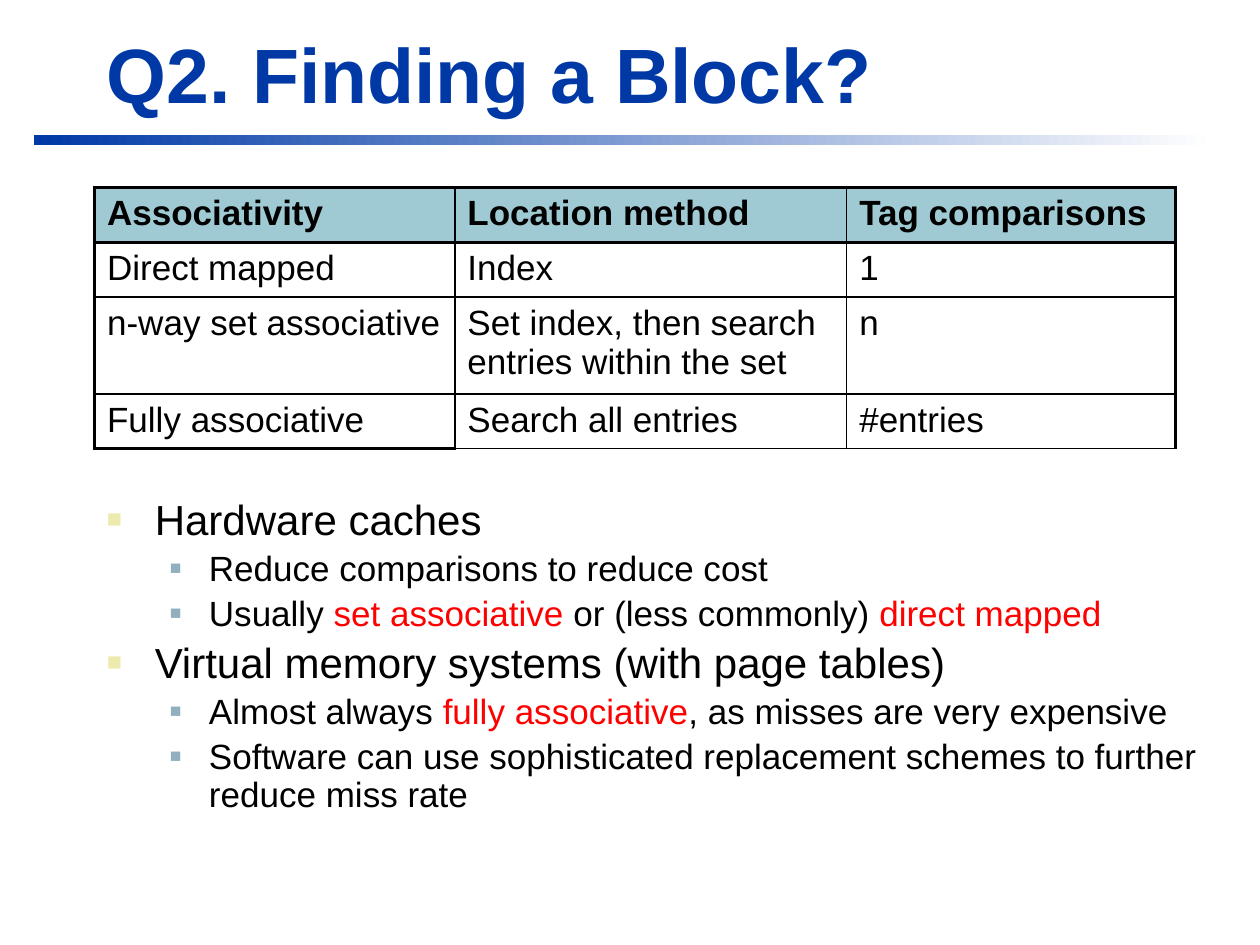
from dataclasses import dataclass

from pptx import Presentation
from pptx.dml.color import RGBColor
from pptx.enum.shapes import MSO_SHAPE
from pptx.enum.text import MSO_ANCHOR
from pptx.oxml import parse_xml
from pptx.oxml.ns import nsdecls
from pptx.util import Inches, Pt


@dataclass(frozen=True)
class Theme:
    font: str = "Arial"
    title: str = "0039A6"
    text: str = "000000"
    accent: str = "FF0000"
    paper: str = "FFFFFF"
    header: str = "9FCAD3"
    title_size: int = 44
    cell_size: int = 20
    level_sizes: tuple = (24, 20)
    # Per level: colour, size in percent, left indent, hanging indent
    bullets: tuple = (("ECEAAC", 60, 0.38, 0.38), ("91AFBF", 55, 0.81, 0.31))
    outer: float = 2.25
    under_header: float = 1.5
    inner: float = 1


def add_xml(parent, xml):
    tag, rest = xml[1:].split(" ", 1)
    parent.append(parse_xml(f"<{tag} {nsdecls('a')} {rest}"))


class SlideBuilder:
    def __init__(self, s, theme):
        self.s, self.t = s, theme

    def run(self, p, text, size, color=None, bold=False):
        r = p.add_run()
        r.text = text
        r.font.name, r.font.size, r.font.bold = self.t.font, Pt(size), bold
        r.font.color.rgb = RGBColor.from_string(color or self.t.text)

    def space_before(self, p):
        add_xml(p._p.get_or_add_pPr(),
                '<a:spcBef ><a:spcPct val="20000"/></a:spcBef>')

    def text_frame(self, x, y, w, h, anchor=MSO_ANCHOR.TOP):
        tf = self.s.shapes.add_textbox(
            Inches(x), Inches(y), Inches(w), Inches(h)).text_frame
        tf.word_wrap, tf.vertical_anchor = True, anchor
        return tf

    def title(self, text, *box):
        tf = self.text_frame(*box, anchor=MSO_ANCHOR.BOTTOM)
        self.run(tf.paragraphs[0], text, self.t.title_size, self.t.title, True)

    def gradient_bar(self, x, y, w, h):
        sp = self.s.shapes.add_shape(
            MSO_SHAPE.RECTANGLE, Inches(x), Inches(y), Inches(w), Inches(h))
        sp.shadow.inherit = False
        sp.line.fill.background()
        sp.fill.gradient()
        sp.fill.gradient_angle = 0
        for stop, color in zip(sp.fill.gradient_stops,
                               (self.t.title, self.t.paper)):
            stop.color.rgb = RGBColor.from_string(color)

    def bullet_list(self, items, *box):
        tf = self.text_frame(*box)
        for i, (level, parts) in enumerate(items):
            p = tf.add_paragraph() if i else tf.paragraphs[0]
            p.level, p.line_spacing = level, 0.9
            self.space_before(p)
            color, percent, left, hanging = self.t.bullets[level]
            pPr = p._p.get_or_add_pPr()
            pPr.set("marL", str(Inches(left)))
            pPr.set("indent", str(-Inches(hanging)))
            add_xml(pPr, f'<a:buClr ><a:srgbClr val="{color}"/></a:buClr>')
            add_xml(pPr, f'<a:buSzPct val="{percent * 1000}"/>')
            add_xml(pPr, f'<a:buFont typeface="{self.t.font}"/>')
            add_xml(pPr, '<a:buChar char="■"/>')
            for text, run_color in parts:
                self.run(p, text, self.t.level_sizes[level], run_color)

    def borders(self, cell, **weights):
        tcPr = cell._tc.get_or_add_tcPr()
        for side in "LRTB":
            add_xml(tcPr, f'<a:ln{side} w="{Pt(weights[side])}"><a:solidFill>'
                          f'<a:srgbClr val="{self.t.text}"/></a:solidFill></a:ln{side}>')

    def table(self, rows, widths, heights, x, y):
        t = self.t
        table = self.s.shapes.add_table(
            len(rows), len(widths), Inches(x), Inches(y),
            Inches(sum(widths)), Inches(sum(heights))).table
        table.first_row = table.horz_banding = False
        for column, width in zip(table.columns, widths):
            column.width = Inches(width)
        last_row, last_col = len(rows) - 1, len(widths) - 1
        for i, texts in enumerate(rows):
            table.rows[i].height = Inches(heights[i])
            for j, text in enumerate(texts):
                cell = table.cell(i, j)
                p = cell.text_frame.paragraphs[0]
                self.space_before(p)
                self.run(p, text, t.cell_size, bold=i == 0)
                # Only the first cell of the last row has a heavy bottom
                heavy_bottom = i == last_row and j == 0
                self.borders(
                    cell,
                    L=t.inner if j else t.outer,
                    R=t.outer if j == last_col else t.inner,
                    T={0: t.outer, 1: t.under_header}.get(i, t.inner),
                    B=t.under_header if i == 0
                    else t.outer if heavy_bottom else t.inner)
                if i == 0:
                    cell.fill.solid()
                    cell.fill.fore_color.rgb = RGBColor.from_string(t.header)
                else:
                    cell.fill.background()


def main():
    prs = Presentation()
    prs.slide_width, prs.slide_height = Inches(10), Inches(7.5)
    theme = Theme()
    b = SlideBuilder(prs.slides.add_slide(prs.slide_layouts[6]), theme)
    red = theme.accent

    # Heading
    b.gradient_bar(0.27, 1.07, 9.37, 0.08)
    b.title("Q2. Finding a Block?", 0.75, 0.16, 9.03, 0.83)

    # Bullets
    b.bullet_list([
        (0, [("Hardware caches", None)]),
        (1, [("Reduce comparisons to reduce cost", None)]),
        (1, [("Usually ", None), ("set associative ", red),
             ("or (less commonly) ", None), ("direct mapped", red)]),
        (0, [("Virtual memory systems (with page tables)", None)]),
        (1, [("Almost always ", None), ("fully associative", red),
             (", as misses are very expensive", None)]),
        (1, [("Software can use sophisticated replacement schemes "
              "to further reduce miss rate", None)]),
    ], 0.75, 3.91, 9.05, 2.91)

    # Associativity table
    b.table([
        ("Associativity", "Location method", "Tag comparisons"),
        ("Direct mapped", "Index", "1"),
        ("n-way set associative",
         "Set index, then search entries within the set", "n"),
        ("Fully associative", "Search all entries", "#entries"),
    ], (2.86, 3.11, 2.61), (0.43, 0.43, 0.77, 0.43), 0.75, 1.49)

    prs.save("out.pptx")


if __name__ == "__main__":
    main()
